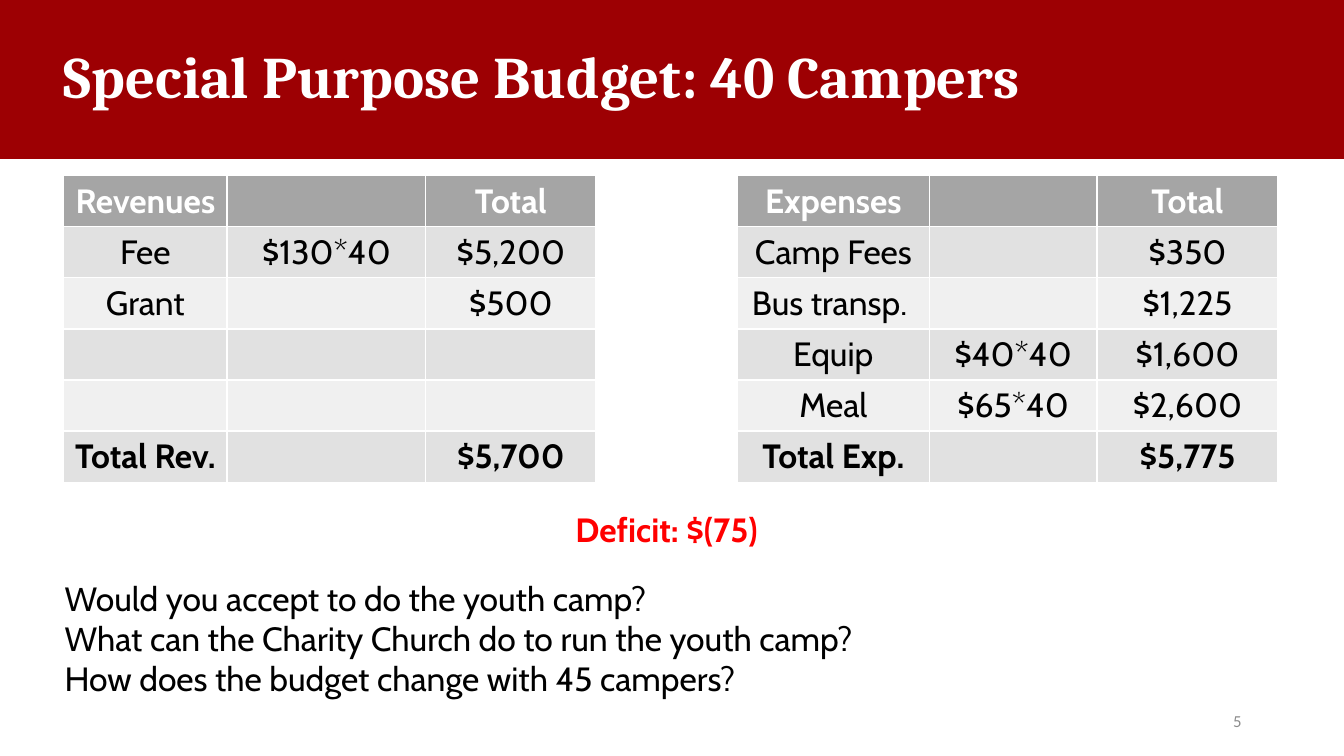
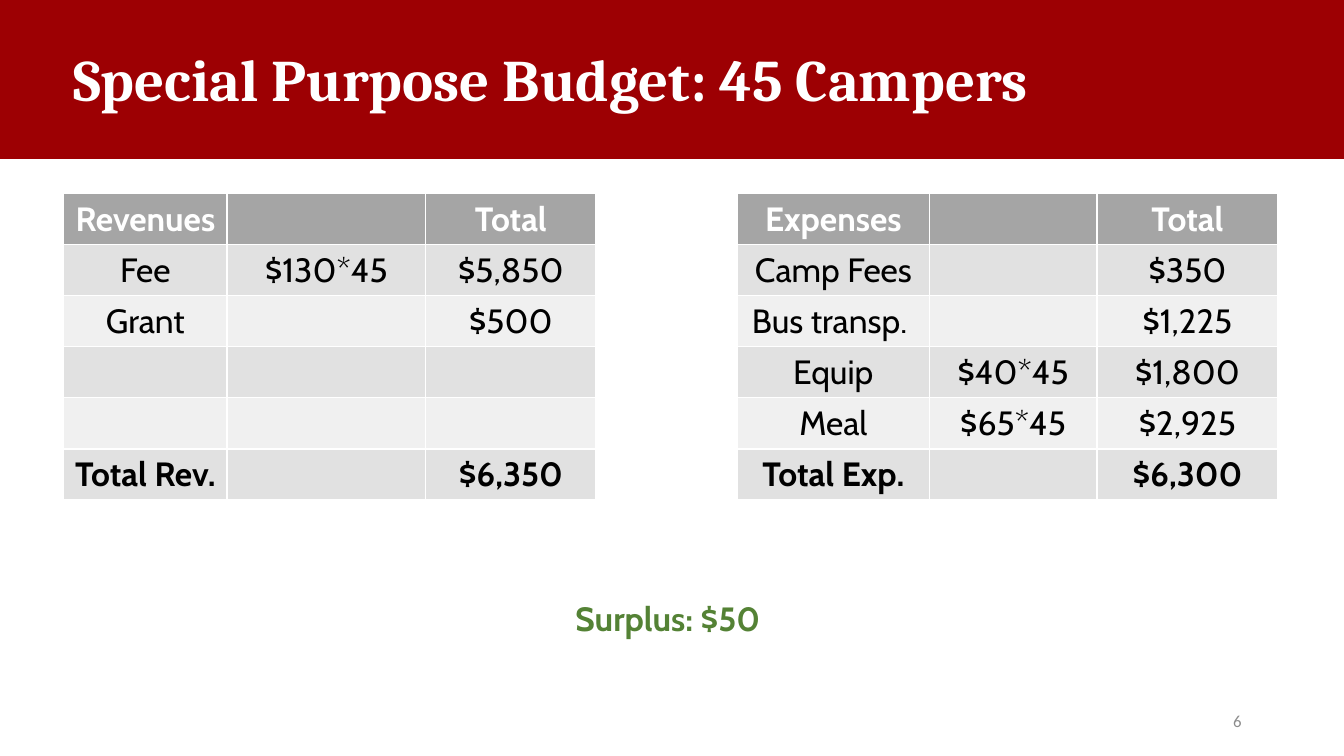
from dataclasses import dataclass

from pptx import Presentation
from pptx.dml.color import RGBColor
from pptx.enum.shapes import MSO_SHAPE
from pptx.enum.text import MSO_ANCHOR, MSO_AUTO_SIZE, PP_ALIGN
from pptx.util import Pt

RECT = MSO_SHAPE.RECTANGLE
MIDDLE = MSO_ANCHOR.MIDDLE
NO_FIT = MSO_AUTO_SIZE.NONE
LEFT, CENTER, RIGHT = PP_ALIGN.LEFT, PP_ALIGN.CENTER, PP_ALIGN.RIGHT


@dataclass(frozen=True)
class Theme:
    red: str = "9D0003"
    white: str = "FFFFFF"
    black: str = "000000"
    header: str = "A5A5A5"
    odd_row: str = "E1E1E1"
    even_row: str = "F0F0F0"
    deficit: str = "FF0000"
    surplus: str = "548235"
    muted: str = "8C8C8C"
    title_font: str = "Cambria"
    body_font: str = "Cabin"
    number_font: str = "Calibri"
    title_size: int = 42
    body_size: int = 24
    number_size: int = 12


THEME = Theme()
SLIDE_W, SLIDE_H = 960, 540
BAND_H = 113
COLUMNS = (116.7, 142, 121.5, 101, 137.2, 119.7, 129.4)
GAP_COLUMN = 3
ROW_H = 36.5

FEE, GRANT = 130, 500
CAMP_FEES, BUS, EQUIP, MEAL = 350, 1225, 40, 65
QUESTIONS = (
    "Would you accept to do the youth camp?",
    "What can the Charity Church do to run the youth camp?",
    "How does the budget change with 45 campers?",
)


def rgb(color):
    return RGBColor.from_string(color)


def style(p, color, align=LEFT, bold=False, font=THEME.body_font, size=THEME.body_size):
    p.alignment = align
    p.font.name = font
    p.font.size = Pt(size)
    p.font.bold = bold
    p.font.color.rgb = rgb(color)


def place(shape, box):
    shape.left, shape.top, shape.width, shape.height = map(Pt, box)


def add_text(s, box, lines, color, **font):
    tf = s.shapes.add_textbox(*map(Pt, box)).text_frame
    tf.word_wrap = True
    tf.text = "\n".join(lines)
    for p in tf.paragraphs:
        style(p, color, **font)
    return tf


def add_title(s, box, text):
    """Fill the title and lay the red band behind it."""
    title = s.shapes.title
    band = s.shapes.add_shape(RECT, 0, 0, Pt(SLIDE_W), Pt(BAND_H))
    band.shadow.inherit = False
    band.fill.solid()
    band.fill.fore_color.rgb = rgb(THEME.red)
    band.line.color.rgb = rgb(THEME.red)
    band.line.width = Pt(1)
    title._element.addprevious(band._element)

    place(title, box)
    tf = title.text_frame
    tf.text = text
    tf.auto_size = NO_FIT
    tf.vertical_anchor = MIDDLE
    p = tf.paragraphs[0]
    p.line_spacing = 0.9
    style(p, THEME.white, bold=True, font=THEME.title_font, size=THEME.title_size)


def add_number(s, number):
    tf = add_text(s, (678, 500.5, 216, 28.75), [str(number)], THEME.muted,
                  align=RIGHT, font=THEME.number_font, size=THEME.number_size)
    tf.vertical_anchor = MIDDLE


def budget(campers):
    """Return the table rows and the balance for a number of campers."""
    fee, equip, meal = (rate * campers for rate in (FEE, EQUIP, MEAL))
    revenue = fee + GRANT
    expense = CAMP_FEES + BUS + equip + meal
    rows = (
        ("Revenues", "", "Total", "", "Expenses", "", "Total"),
        ("Fee", f"${FEE}*{campers}", fee, "", "Camp Fees", "", CAMP_FEES),
        ("Grant", "", GRANT, "", "Bus transp. ", "", BUS),
        ("", "", "", "", "Equip", f"${EQUIP}*{campers}", equip),
        ("", "", "", "", "Meal", f"${MEAL}*{campers}", meal),
        ("Total Rev.", "", revenue, "", "Total Exp.", "", expense),
    )
    return rows, revenue - expense


def add_budget_table(s, left, top, rows):
    table = s.shapes.add_table(len(rows), len(COLUMNS), Pt(left), Pt(top),
                               Pt(sum(COLUMNS)), Pt(ROW_H * len(rows))).table
    table.horz_banding = False
    for column, width in zip(table.columns, COLUMNS):
        column.width = Pt(width)
    last = len(rows) - 1
    for i, values in enumerate(rows):
        row_fill = THEME.header if i == 0 else THEME.odd_row if i % 2 else THEME.even_row
        for j, value in enumerate(values):
            cell = table.cell(i, j)
            cell.fill.solid()
            cell.fill.fore_color.rgb = rgb(THEME.white if j == GAP_COLUMN else row_fill)
            cell.text = f"${value:,}" if isinstance(value, int) else value
            style(cell.text_frame.paragraphs[0], THEME.black if i else THEME.white,
                  align=CENTER, bold=i in (0, last))


def add_balance(s, top, balance):
    if balance < 0:
        text, color = f"Deficit: $({-balance})", THEME.deficit
    else:
        text, color = f"Surplus: ${balance}", THEME.surplus
    add_text(s, (404, top, 152, 36), [text], color, bold=True)


def add_budget_slide(prs, number, campers, title_at, table_top, balance_top):
    s = prs.slides.add_slide(prs.slide_layouts.get_by_name("Title Only"))
    add_title(s, (*title_at, 828, 70.5), f"Special Purpose Budget: {campers} Campers")
    rows, balance = budget(campers)
    add_budget_table(s, 45.5, table_top, rows)
    add_number(s, number)
    add_balance(s, balance_top, balance)
    return s


def main():
    prs = Presentation()
    prs.slide_width, prs.slide_height = Pt(SLIDE_W), Pt(SLIDE_H)
    s = add_budget_slide(prs, 5, 40, (38.5, 21.5), 125.5, 360)
    add_text(s, (39, 409, 600, 94), QUESTIONS, THEME.black)
    add_budget_slide(prs, 6, 45, (45, 23.75), 138.25, 423.5)
    prs.save("out.pptx")


if __name__ == "__main__":
    main()
